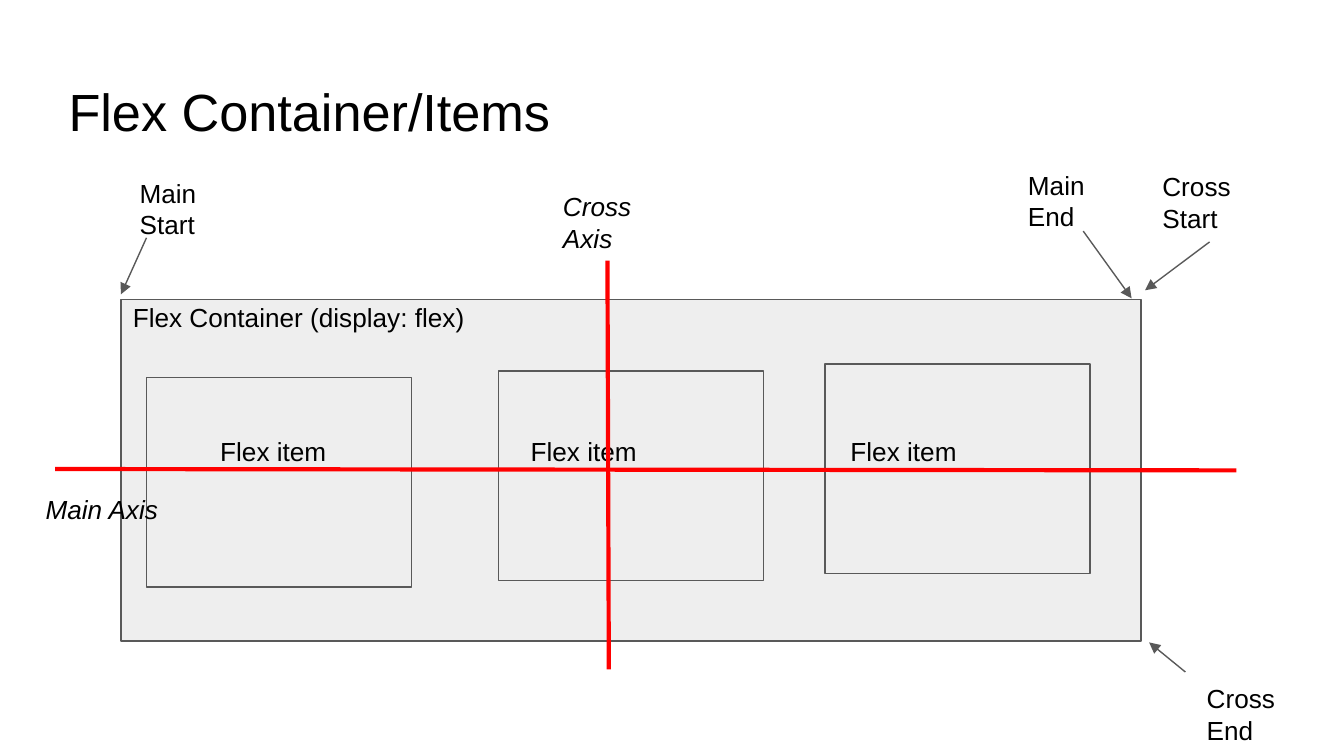
from lxml import etree
from pptx import Presentation
from pptx import util as u
from pptx.dml.color import RGBColor
from pptx.enum import shapes, text
from pptx.oxml import ns

BLACK = RGBColor(0x00, 0x00, 0x00)
GRAY = RGBColor(0x59, 0x59, 0x59)
LIGHT = RGBColor(0xEE, 0xEE, 0xEE)
RED = RGBColor(0xFF, 0x00, 0x00)
FONT = "Arial"


def write(shape, content, size=14, italic=False):
    """Fill a shape with one left-aligned, top-anchored paragraph."""
    frame = shape.text_frame
    frame.word_wrap = True
    frame.auto_size = text.MSO_AUTO_SIZE.NONE
    frame.vertical_anchor = text.MSO_ANCHOR.TOP
    frame.margin_left = frame.margin_right = u.Inches(0.1)
    frame.margin_top = frame.margin_bottom = u.Inches(0.1)
    para = frame.paragraphs[0]
    para.alignment = text.PP_ALIGN.LEFT
    para.line_spacing = 1.0
    para.space_before = u.Pt(0)
    span = para.add_run()
    span.text = content
    span.font.name = FONT
    span.font.size = u.Pt(size)
    span.font.italic = italic
    span.font.color.rgb = BLACK


def add_title(page, content):
    title = page.shapes.title
    title.left, title.top = u.Inches(0.41), u.Inches(0.49)
    title.width, title.height = u.Inches(9.32), u.Inches(0.63)
    write(title, content, size=28)


def add_label(page, content, left, top, width=0.85, height=0.42, **style):
    box = page.shapes.add_textbox(u.Inches(left), u.Inches(top),
                                  u.Inches(width), u.Inches(height))
    write(box, content, **style)


def add_box(page, left, top, width, height):
    box = page.shapes.add_shape(shapes.MSO_SHAPE.RECTANGLE, u.Inches(left),
                                u.Inches(top), u.Inches(width), u.Inches(height))
    box.shadow.inherit = False
    box.fill.solid()
    box.fill.fore_color.rgb = LIGHT
    box.line.color.rgb = GRAY
    box.line.width = u.Pt(0.75)


def add_line(page, start, end, color=GRAY, weight=0.75, arrow=False):
    line = page.shapes.add_connector(shapes.MSO_CONNECTOR.STRAIGHT,
                                     *map(u.Inches, start + end))
    line.line.color.rgb = color
    line.line.width = u.Pt(weight)
    properties = line._element.spPr
    if arrow:
        etree.SubElement(properties.find(ns.qn("a:ln")), ns.qn("a:tailEnd"),
                         type="triangle", w="med", len="med")
    etree.SubElement(properties, ns.qn("a:effectLst"))


def main():
    deck = Presentation()
    deck.slide_width = u.Inches(10)
    deck.slide_height = deck.slide_width * 9 // 16
    page = deck.slides.add_slide(deck.slide_layouts[5])
    add_title(page, "Flex Container/Items")

    # Container and its three items, each with its caption
    add_box(page, 0.9, 2.23, 7.59, 2.54)
    for left, top in ((1.09, 2.81), (3.71, 2.76), (6.14, 2.71)):
        add_box(page, left, top, 1.97, 1.56)
    add_label(page, "Flex Container (display: flex)", 0.89, 2.14, 4.6, 0.24)
    for left in (1.54, 3.85, 6.23):
        add_label(page, "Flex item", left, 3.14, 1.7, 0.36)

    # Main and cross axes
    add_line(page, (0.41, 3.49), (9.2, 3.5), RED, 2.25)
    add_label(page, "Main Axis", 0.24, 3.57, 2.11, 0.24, italic=True)
    add_line(page, (4.52, 1.94), (4.53, 4.98), RED, 2.25)
    add_label(page, "Cross Axis", 4.09, 1.32, 1.01, italic=True)

    # Start and end markers pointing at the container corners
    for name, left, top, height, start, end in (
            ("Main Start", 0.94, 1.22, 0.32, (1.09, 1.77), (0.9, 2.19)),
            ("Main End", 7.55, 1.16, 0.32, (8.06, 1.72), (8.42, 2.22)),
            ("Cross Start", 8.55, 1.17, 0.42, (9, 1.8), (8.52, 2.16)),
            ("Cross End", 8.88, 4.98, 0.42, (8.82, 5), (8.55, 4.78))):
        add_label(page, name, left, top, height=height)
        add_line(page, start, end, arrow=True)

    deck.save("out.pptx")


if __name__ == "__main__":
    main()
